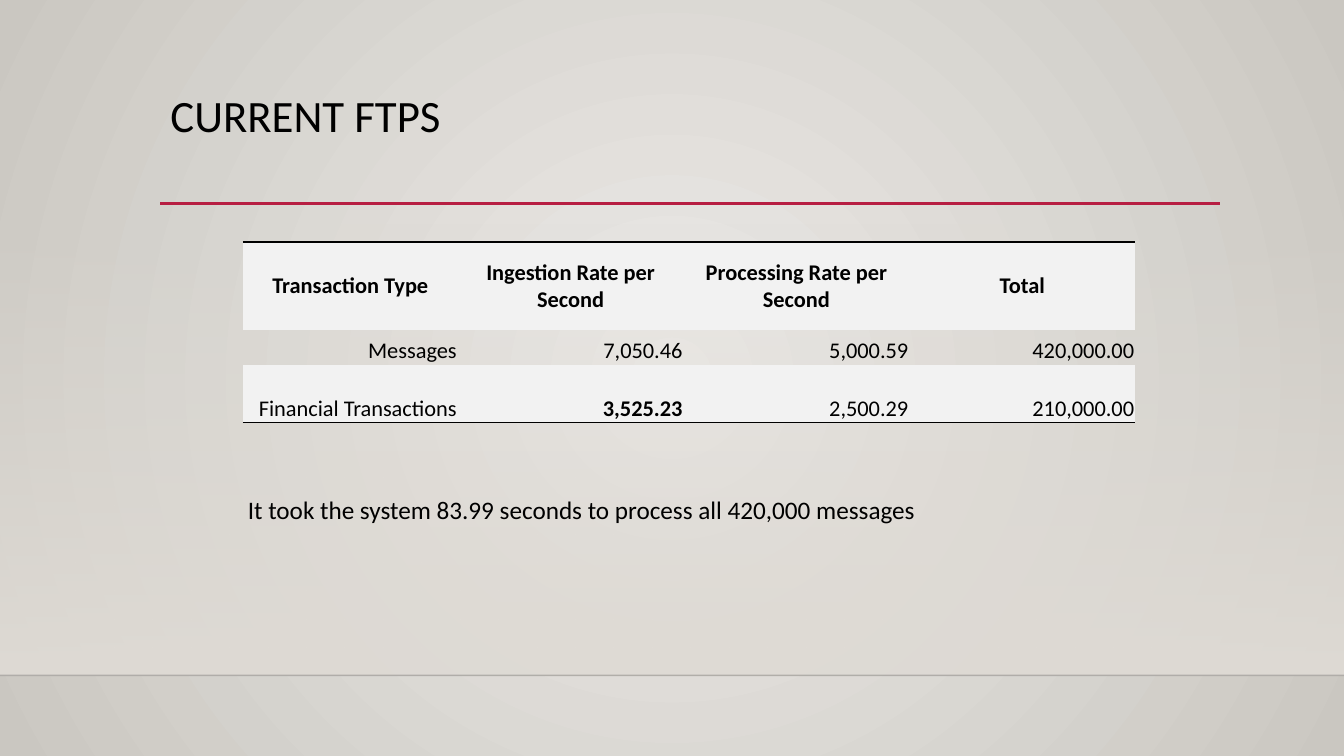
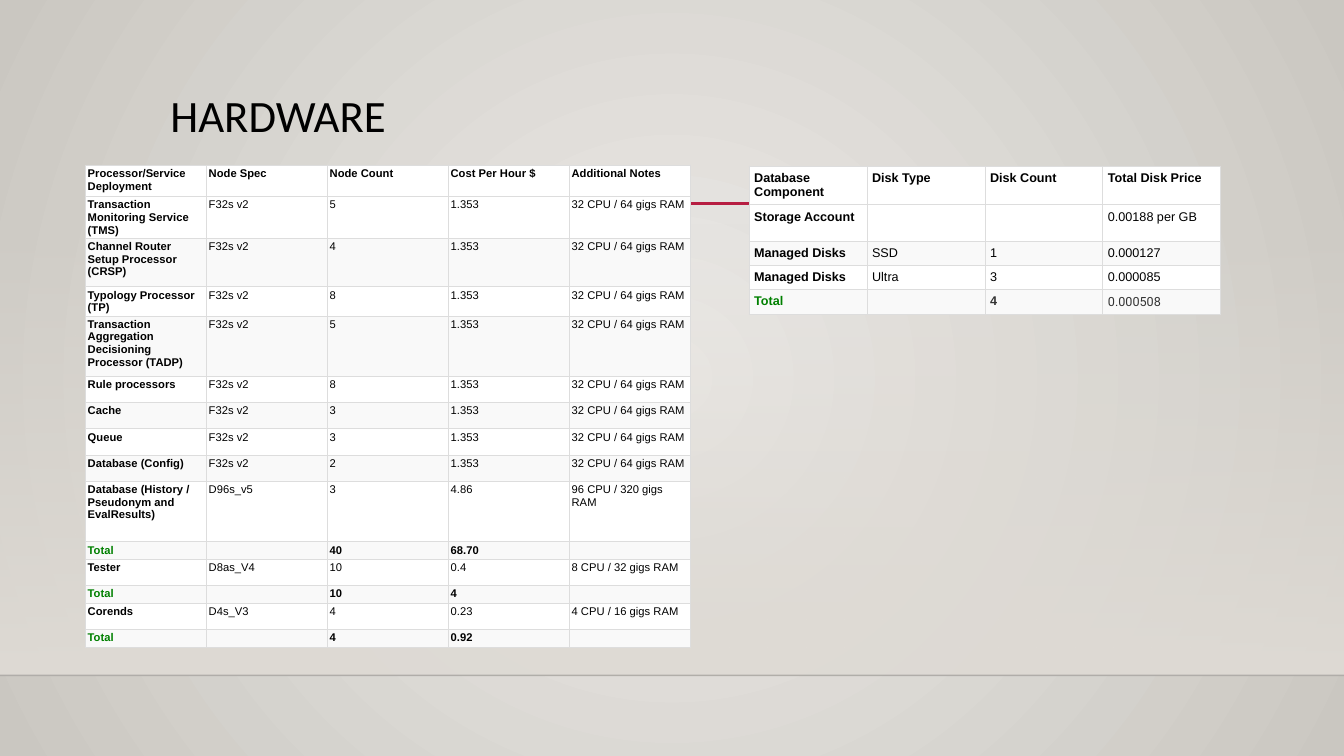
"""Build two slides on transaction rates and hardware cost."""
from lxml.etree import SubElement
from pptx import Presentation
from pptx.dml.color import RGBColor
from pptx.enum.shapes import MSO_CONNECTOR as CONNECTOR, MSO_SHAPE as SHAPE
from pptx.enum.text import MSO_ANCHOR as ANCHOR, MSO_AUTO_SIZE as AUTO_SIZE, PP_ALIGN as ALIGN
from pptx.oxml.ns import qn
from pptx.util import Inches, Pt


class Theme:
    black = RGBColor.from_string("000000")
    charcoal = RGBColor.from_string("333333")
    green = RGBColor.from_string("008000")
    accent = RGBColor.from_string("B71E42")
    horizon = RGBColor.from_string("000001")
    glow = RGBColor.from_string("DFDBD5")
    background = [RGBColor.from_string("ECEAE7"), RGBColor.from_string("CAC7C1")]
    white = RGBColor.from_string("FFFFFF")
    band = RGBColor.from_string("F9F9F9")
    rate_band = RGBColor.from_string("F2F2F2")
    grid = RGBColor.from_string("DDDDDD")
    font, table_font, figure_font = "Calibri", "Arial", "Roboto"
    title_size, note_size, rate_size = Pt(32), Pt(18), Pt(16)
    node_size, disk_size = Pt(8), Pt(9)
    plain_table = "{2D5ABB26-0587-4C30-8999-92F81FD0307C}"


def set_format(target, values):
    for name, value in values.items():
        if name == "color":
            target.color.rgb = value
        else:
            setattr(target, name, value)


def add_grid(slide, place, widths, heights, rows, style):
    frame = slide.shapes.add_table(
        len(rows), len(widths), *map(Inches, (*place, sum(widths), sum(heights))))
    frame.element.xpath(".//a:tableStyleId")[0].text = Theme.plain_table
    table = frame.table
    for column, width in zip(table.columns, widths):
        column.width = Inches(width)
    for r, (texts, height) in enumerate(zip(rows, heights)):
        table.rows[r].height = Inches(height)
        for c, text in enumerate(texts):
            cell = table.cell(r, c)
            set_format(cell, {f"margin_{side}": Inches(inset) for side, inset in
                              zip(("left", "top", "right", "bottom"), style["insets"])})
            cell.vertical_anchor = style["anchors"][min(r, 1)]
            properties = cell._tc.get_or_add_tcPr()
            for side, points in style["borders"][r].items():
                line = SubElement(properties, qn(f"a:ln{side}"), w=str(Pt(points)))
                fill = SubElement(line, qn("a:solidFill"))
                SubElement(fill, qn("a:srgbClr"), val=str(style["border_color"]))
            if style["fills"][r] is None:
                cell.fill.background()
            else:
                cell.fill.solid()
                cell.fill.fore_color.rgb = style["fills"][r]
            paragraph = cell.text_frame.paragraphs[0]
            paragraph.alignment = style["aligns"][min(r, 1)]
            if text:
                run = paragraph.add_run()
                run.text = text
                total = texts[0] == "Total"
                font = {"name": style["font"], "size": style["size"],
                        "bold": r == 0 or total or (c == 0 and style["bold_labels"]),
                        "color": Theme.green if total and c == 0 else Theme.black}
                set_format(run.font, font | style["special"].get((r, c), {}))
            else:
                paragraph._p.get_or_add_endParaRPr().set("sz", str(int(style["size"].pt * 100)))


presentation = Presentation()
presentation.slide_width, presentation.slide_height = Inches(13.33), Inches(7.5)
layout = presentation.slide_layouts[5]

backdrop = layout.background.fill
backdrop.gradient()
for stop, color in zip(backdrop.gradient_stops, Theme.background):
    stop.color.rgb = color
gradient = layout.element.xpath("./p:cSld/p:bg//a:gradFill")[0]
for linear in gradient.xpath("./a:lin"):
    gradient.remove(linear)
circle = SubElement(gradient, qn("a:path"), path="circle")
SubElement(circle, qn("a:fillToRect"), l="50000", t="50000", r="50000", b="50000")

titles = [("CURRENT FTPS", 1.15), ("HARDWARE", 0.77)]
slides = [presentation.slides.add_slide(layout) for _ in titles]
for slide, (text, height) in zip(slides, titles):
    title = slide.shapes.title
    set_format(title, {"left": Inches(1.59), "top": Inches(0.88),
                       "width": Inches(10.5), "height": Inches(height)})
    set_format(title.text_frame, {"text": text, "word_wrap": True,
                                  "auto_size": AUTO_SIZE.NONE, "vertical_anchor": ANCHOR.TOP})
    paragraph = title.text_frame.paragraphs[0]
    set_format(paragraph, {"alignment": ALIGN.LEFT, "line_spacing": 0.9})
    set_format(paragraph.runs[0].font, {"name": Theme.font, "size": Theme.title_size,
                                        "color": Theme.black})
rate_slide, hardware_slide = slides

glow = rate_slide.shapes.add_shape(
    SHAPE.RECTANGLE, Inches(0), Inches(2.21), Inches(13.33), Inches(4.49))
glow.shadow.inherit = False
glow.line.fill.background()
glow.fill.gradient()
glow.fill.gradient_angle = 270
for stop in glow.fill.gradient_stops:
    stop.color.rgb = Theme.glow
SubElement(glow.element.xpath(".//a:gs/a:srgbClr")[0], qn("a:alpha"), val="0")

decorations = [glow]
for left, right, y, color, width in [(0, 13.33, 6.7, Theme.horizon, 1),
                                     (1.59, 12.1, 2.02, Theme.accent, 2.5)]:
    rule = rate_slide.shapes.add_connector(
        CONNECTOR.STRAIGHT, Inches(left), Inches(y), Inches(right), Inches(y))
    set_format(rule.line, {"color": color, "width": Pt(width)})
    SubElement(rule.element.xpath("./p:spPr")[0], qn("a:effectLst"))
    decorations.append(rule)
SubElement(decorations[1].element.xpath(".//a:ln//a:srgbClr")[0], qn("a:alpha"), val="20000")
for number, shape in enumerate(decorations, 101):
    shape.element.xpath(".//p:cNvPr")[0].set("id", str(number))
    layout.shapes.element.append(shape.element)

rates = [
    ("Transaction Type", "Ingestion Rate per Second", "Processing Rate per Second", "Total"),
    ("Messages", "7,050.46", "5,000.59", "420,000.00"),
    ("Financial Transactions", "3,525.23", "2,500.29", "210,000.00"),
]
rate_style = {
    "font": Theme.font, "size": Theme.rate_size, "bold_labels": False,
    "insets": (0.01, 0.01, 0.01, 0), "anchors": (ANCHOR.MIDDLE, ANCHOR.BOTTOM),
    "aligns": (ALIGN.CENTER, ALIGN.RIGHT), "fills": [Theme.rate_band, None, Theme.rate_band],
    "borders": [{"T": 2.25}, {}, {"B": 0.5}], "border_color": Theme.black,
    "special": {(2, 1): {"bold": True}},
}
add_grid(rate_slide, (2.41, 2.4), [2.13] + [2.24] * 3, [0.87, 0.35, 0.57], rates, rate_style)

note = rate_slide.shapes.add_textbox(Inches(2.36), Inches(4.85), Inches(6.92), Inches(0.4))
set_format(note.text_frame, {
    "text": "It took the system 83.99 seconds to process all 420,000 messages",
    "word_wrap": False, "auto_size": AUTO_SIZE.SHAPE_TO_FIT_TEXT})
set_format(note.text_frame.paragraphs[0].runs[0].font,
           {"name": Theme.font, "size": Theme.note_size, "color": Theme.black})

standard_nodes = [
    ("Transaction Monitoring Service (TMS)", "5"),
    ("Channel Router Setup Processor (CRSP)", "4"),
    ("Typology Processor (TP)", "8"),
    ("Transaction Aggregation Decisioning Processor (TADP)", "5"),
    ("Rule processors", "8"),
    ("Cache", "3"),
    ("Queue", "3"),
    ("Database (Config)", "2"),
]
nodes = [
    ("Processor/Service Deployment", "Node Spec", "Node Count", "Cost Per Hour $",
     "Additional Notes"),
    *[(name, "F32s v2", count, "1.353", "32 CPU / 64 gigs RAM") for name, count in standard_nodes],
    ("Database (History / Pseudonym and EvalResults)", "D96s_v5", "3", "4.86",
     "96 CPU / 320 gigs RAM"),
    ("Total", "", "40", "68.70", ""),
    ("Tester", "D8as_V4", "10", "0.4", "8 CPU / 32 gigs RAM"),
    ("Total", "", "10", "4", ""),
    ("Corends", "D4s_V3", "4", "0.23", "4 CPU / 16 gigs RAM"),
    ("Total", "", "4", "0.92", ""),
]
node_heights = [0.31, 0.37, 0.48, 0.26, 0.6, *[0.26] * 4, 0.6, 0.17, 0.26, 0.17, 0.26, 0.17]
disks = [
    ("Database Component", "Disk Type", "Disk Count", "Total Disk Price"),
    ("Storage Account", "", "", "0.00188 per GB"),
    ("Managed Disks", "SSD", "1", "0.000127"),
    ("Managed Disks", "Ultra", "3", "0.000085"),
    ("Total", "", "4", "0.000508"),
]
hardware_style = {
    "font": Theme.table_font, "bold_labels": True, "anchors": (ANCHOR.TOP, ANCHOR.TOP),
    "aligns": (ALIGN.LEFT, ALIGN.LEFT), "border_color": Theme.grid,
    "fills": [Theme.band if r and r % 2 == 0 else Theme.white for r in range(len(nodes))],
    "borders": [dict.fromkeys("LRTB", 0.75)] * len(nodes),
}
node_style = hardware_style | {"size": Theme.node_size, "insets": [0.02] * 4, "special": {}}
disk_style = hardware_style | {
    "size": Theme.disk_size, "insets": [0.05] * 4,
    "special": {(4, 2): {"color": Theme.charcoal},
                (4, 3): {"color": Theme.charcoal, "name": Theme.figure_font, "bold": False}},
}
add_grid(hardware_slide, (0.85, 1.64), [1.2] * 5, node_heights, nodes, node_style)
add_grid(hardware_slide, (7.43, 1.65), [1.17] * 4, [0.23, 0.36, *[0.23] * 3], disks, disk_style)

presentation.save("out.pptx")
